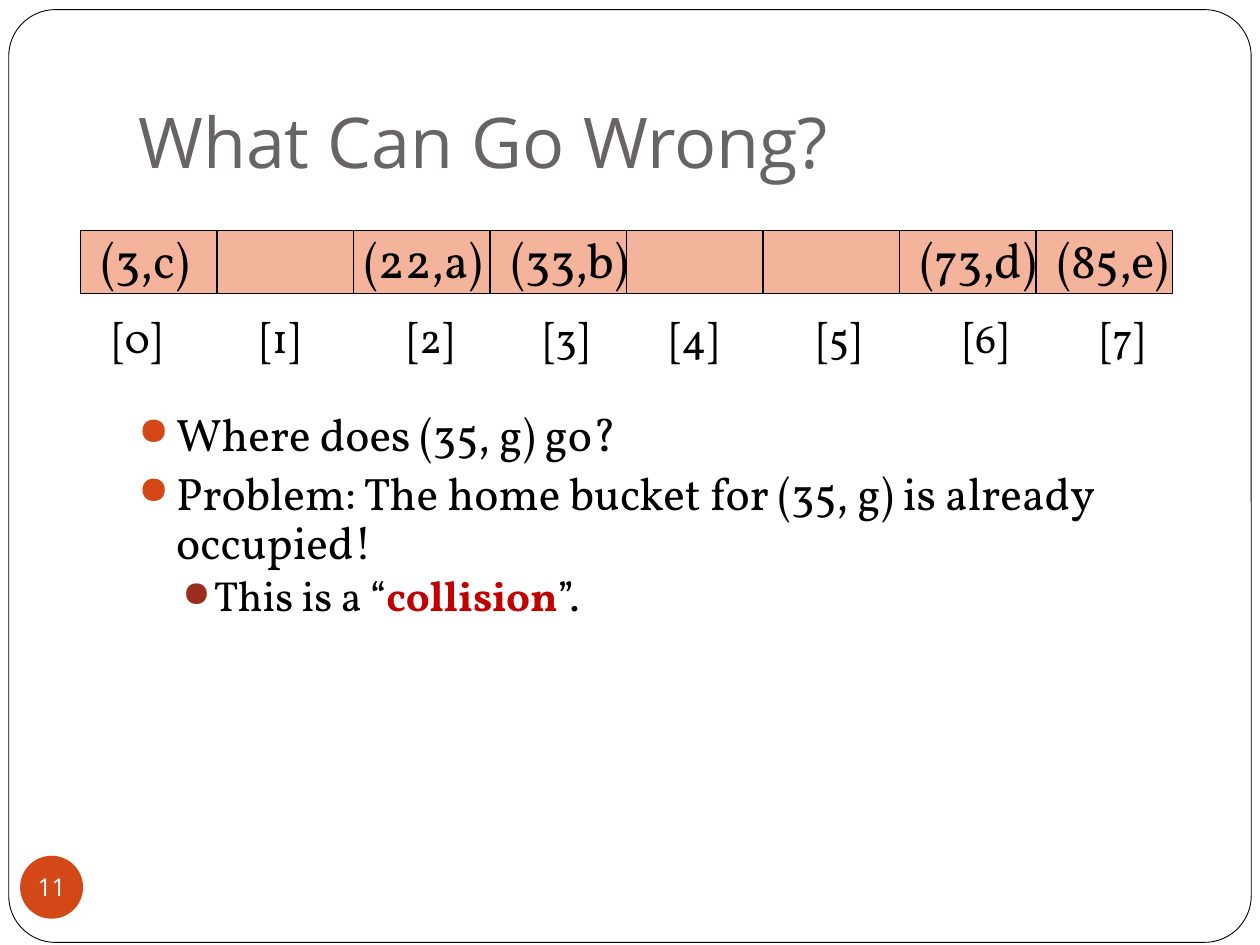
from pptx import Presentation
from pptx.util import Pt
from pptx.dml.color import RGBColor as RGB
from pptx.enum.shapes import MSO_SHAPE as Shape
from pptx.enum.text import MSO_ANCHOR as Anchor, PP_ALIGN as Align
from pptx.oxml.xmlchemy import OxmlElement as Elem

COLORS = {
    "white": "FFFFFF", "black": "000000", "gray": "696464",
    "orange": "D34817", "brown": "9B2D1F", "peach": "F4B39B",
    "red": "C00000",
}
SANS, SERIF = "Open Sans", "Vollkorn"
LEFT, TOP, CELL, HIGH = 46, 131.75, 78, 36

# Bucket contents, label position and nudge of the value in its cell
VALUES = ["(3,c)", "", "(22,a)", "(33,b)", "", "", "(73,d)", "(85,e)"]
LABELS = [57.6, 141.8, 226, 303.8, 375.8, 460, 543.6, 622]
NUDGE = {2: -0.7}


def rgb(name):
    return RGB.from_string(COLORS[name])


def style(para, size, color="black", face=SERIF):
    font = para.font
    font.size, font.name = Pt(size), face
    font.color.rgb = rgb(color)


def add_box(slide, kind, box, fill, line=None):
    shape = slide.shapes.add_shape(kind, *map(Pt, box))
    shape.shadow.inherit = False
    shape.fill.solid()
    shape.fill.fore_color.rgb = rgb(fill)
    if line:
        shape.line.color.rgb = rgb("black")
        shape.line.width = Pt(line)
    else:
        shape.line.fill.background()
    return shape


def add_text(slide, box, text, size, color="black", face=SERIF):
    frame = slide.shapes.add_textbox(*map(Pt, box)).text_frame
    frame.word_wrap = True
    frame.text = text
    style(frame.paragraphs[0], size, color, face)
    return frame


def add_bullet(para, color, left, hang):
    props = para._p.get_or_add_pPr()
    props.set("marL", str(Pt(left)))
    props.set("indent", str(-Pt(hang)))
    tint = Elem("a:buClr")
    value = Elem("a:srgbClr")
    value.set("val", COLORS[color])
    tint.append(value)
    size = Elem("a:buSzPct")
    size.set("val", "85000")
    char = Elem("a:buChar")
    char.set("char", "●")
    for item in (tint, size, char):
        props.append(item)


def add_badge(slide, text):
    badge = add_box(slide, Shape.OVAL, (11.5, 489, 36, 36), "orange")
    frame = badge.text_frame
    frame.margin_left = frame.margin_right = 0
    frame.margin_top = frame.margin_bottom = 0
    frame.word_wrap = False
    frame.vertical_anchor = Anchor.MIDDLE
    frame.text = text
    para = frame.paragraphs[0]
    para.alignment = Align.CENTER
    style(para, 14, "white", SANS)


def add_buckets(slide):
    for i in range(len(VALUES)):
        box = (LEFT + i * CELL, TOP, CELL, HIGH)
        add_box(slide, Shape.RECTANGLE, box, "peach", 1)
    for i, left in enumerate(LABELS):
        add_text(slide, (left, 174.25, 54, 36), f"[{i}]", 24)
    for i, value in enumerate(VALUES):
        if value:
            left = LEFT + i * CELL + NUDGE.get(i, 5)
            add_text(slide, (left, 127.5, 96, 41), value, 28)


def add_body(slide):
    frame = add_text(slide, (72, 228.5, 612, 245),
                     "Where does (35, g) go?", 26)
    home, note = frame.add_paragraph(), frame.add_paragraph()
    home.text = "Problem: The home bucket for (35, g) is already occupied!"
    style(home, 26)
    style(note, 24)
    note.level = 1
    for text in ("This is a “", "collision", "”."):
        run = note.add_run()
        run.text = text
        if text == "collision":
            run.font.bold = True
            run.font.color.rgb = rgb("red")
    home.line_spacing = note.line_spacing = 0.9
    home.space_before, note.space_before = Pt(5.8), Pt(3.7)
    add_bullet(frame.paragraphs[0], "orange", 21.6, 21.6)
    add_bullet(home, "orange", 21.6, 21.6)
    add_bullet(note, "brown", 43.2, 18)


def main():
    deck = Presentation()
    deck.slide_width, deck.slide_height = Pt(720), Pt(540)
    slide = deck.slides.add_slide(deck.slide_layouts[6])

    # Frame and title
    edge = add_box(slide, Shape.ROUNDED_RECTANGLE,
                   (5, 5.5, 710, 533), "white", 0.5)
    edge.adjustments[0] = 0.05
    title = add_text(slide, (72, 21.6, 612, 90), "What Can Go Wrong?",
                     40, "gray", SANS)
    title.vertical_anchor = Anchor.BOTTOM
    title.margin_bottom = Pt(7.2)

    # Slide number, text and hash table
    add_badge(slide, "11")
    add_body(slide)
    add_buckets(slide)
    deck.save("out.pptx")


main()
